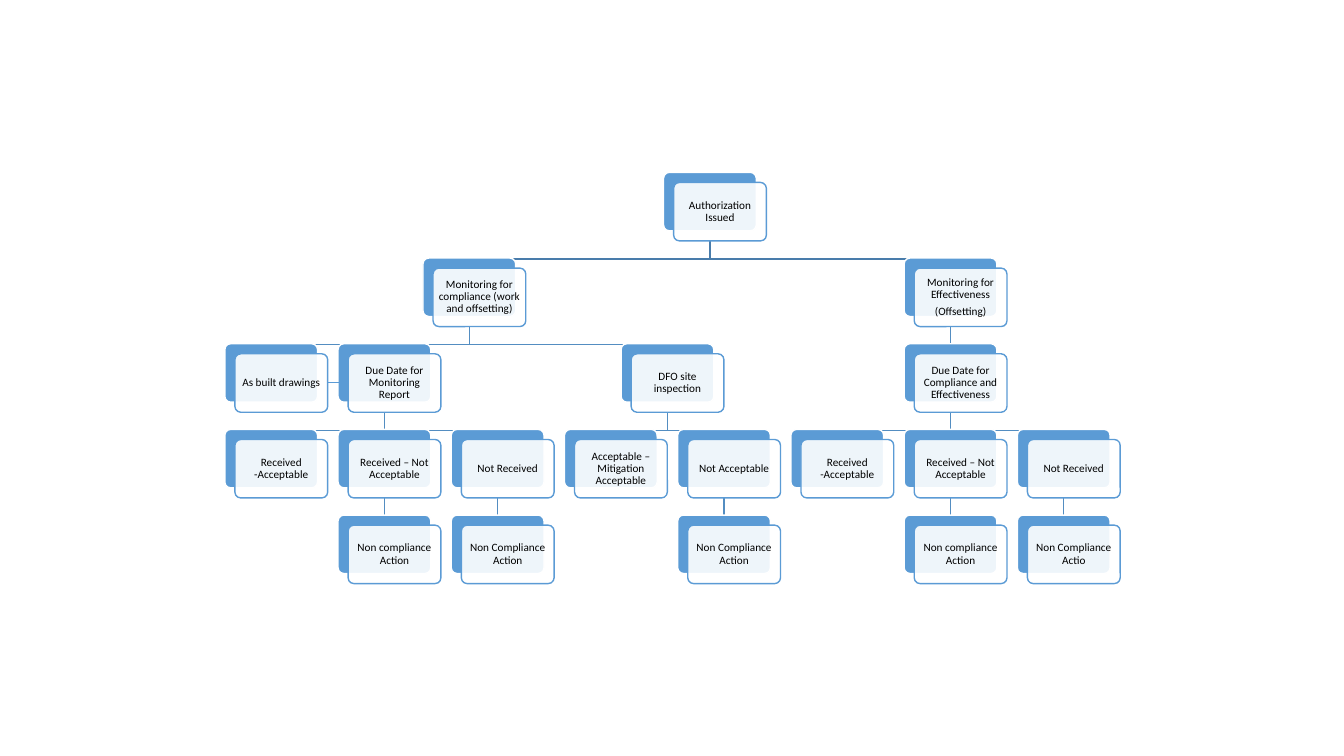
from dataclasses import dataclass, field

from lxml import etree
from pptx import Presentation
from pptx.dml.color import RGBColor
from pptx.enum.shapes import MSO_CONNECTOR, MSO_SHAPE
from pptx.enum.text import MSO_ANCHOR, PP_ALIGN
from pptx.oxml.ns import qn
from pptx.util import Inches, Pt

COLORS = {"box": "5B9BD5", "white": "FFFFFF", "text": "000000",
          "top_branch": "497CAB", "branch": "538DC1"}
FONT = "Calibri"
BOX_W, BOX_H = 0.92, 0.58
CARD_SHIFT = 0.1                      # white card sits right of and below its blue box
LEFT, TOP = 2.23, 1.71
COL_STEP = (10.09 - LEFT) / 7         # eight columns
ROW_STEP = 0.85
BUS_DROP = 0.18                       # from a card's lower edge to the crossbar


@dataclass
class Node:
    text: str
    children: list = field(default_factory=list)
    column: float = 0

    def __post_init__(self):
        # A parent stands midway between its outer children
        if self.children:
            self.column = (self.children[0].column + self.children[-1].column) / 2

    @property
    def left(self):
        return LEFT + self.column * COL_STEP

    @property
    def center(self):
        return self.left + CARD_SHIFT / 2 + BOX_W / 2 - CARD_SHIFT / 2


def leaf(column, text):
    return Node(text, column=column)


def report_outcomes(column, last_action):
    """The three possible results of a report that has a due date."""
    return [leaf(column, "Received -Acceptable"),
            Node("Received – Not Acceptable", [leaf(column + 1, "Non compliance Action")]),
            Node("Not Received", [leaf(column + 2, last_action)])]


def build_tree():
    inspection = Node("DFO site inspection", [
        leaf(3, "Acceptable – Mitigation Acceptable"),
        Node("Not Acceptable", [leaf(4, "Non Compliance Action")])])
    compliance = Node("Monitoring for compliance (work and offsetting)", [
        leaf(0, "As built drawings"),
        Node("Due Date for Monitoring Report", report_outcomes(0, "Non Compliance Action")),
        inspection])
    effectiveness = Node("Monitoring for Effectiveness\n(Offsetting)", [
        Node("Due Date for Compliance and Effectiveness",
             report_outcomes(5, "Non Compliance Actio"))])
    return Node("Authorization Issued", [compliance, effectiveness])


def rgb(name):
    return RGBColor.from_string(COLORS[name])


def row_top(row):
    return TOP + row * ROW_STEP


def add_line(slide, start, end, color, width):
    line = slide.shapes.add_connector(MSO_CONNECTOR.STRAIGHT,
                                      *(Inches(v) for v in (*start, *end)))
    line.line.color.rgb = rgb(color)
    line.line.width = Pt(width)
    etree.SubElement(line._element.spPr, qn("a:effectLst"))


def add_elbow(slide, points, color):
    corners = [(Inches(x), Inches(y)) for x, y in points]
    builder = slide.shapes.build_freeform(*corners[0])
    builder.add_line_segments(corners[1:], close=False)
    elbow = builder.convert_to_shape()
    elbow.shadow.inherit = False
    elbow.fill.background()
    elbow.line.color.rgb = rgb(color)
    elbow.line.width = Pt(1)


def add_branches(slide, node, row=0):
    color = "branch" if row else "top_branch"
    start_y = row_top(row) + CARD_SHIFT + BOX_H
    end_y = row_top(row + 1)
    for child in node.children:
        start, end = (node.center, start_y), (child.center, end_y)
        if child.column == node.column:
            add_line(slide, start, end, "branch", 1)
        else:
            bus_y = start_y + BUS_DROP
            add_elbow(slide, [start, (node.center, bus_y), (child.center, bus_y), end], color)
        add_branches(slide, child, row + 1)


def add_box(slide, left, top, fill, outline):
    box = slide.shapes.add_shape(MSO_SHAPE.ROUNDED_RECTANGLE, Inches(left), Inches(top),
                                 Inches(BOX_W), Inches(BOX_H))
    box.adjustments[0] = 0.1
    box.shadow.inherit = False
    box.fill.solid()
    box.fill.fore_color.rgb = rgb(fill)
    box.line.color.rgb = rgb(outline)
    box.line.width = Pt(1)
    return box


def set_text(shape, text):
    frame = shape.text_frame
    frame.word_wrap = True
    frame.vertical_anchor = MSO_ANCHOR.MIDDLE
    frame.margin_left = frame.margin_right = Inches(0.03)
    frame.margin_top = frame.margin_bottom = Inches(0.03)
    frame.text = text
    for paragraph in frame.paragraphs:
        paragraph.alignment = PP_ALIGN.CENTER
        paragraph.line_spacing = 0.9
        paragraph.space_after = Pt(3)
        paragraph.font.size = Pt(8)
        paragraph.font.name = FONT
        paragraph.font.color.rgb = rgb("text")


def add_nodes(slide, node, row=0):
    top = row_top(row)
    add_box(slide, node.left, top, "box", "white")
    card = add_box(slide, node.left + CARD_SHIFT, top + CARD_SHIFT, "white", "box")
    # Let the blue box show faintly through the card
    color = card.fill._xPr.find(qn("a:solidFill"))[0]
    etree.SubElement(color, qn("a:alpha"), val="90000")
    set_text(card, node.text)
    for child in node.children:
        add_nodes(slide, child, row + 1)


def main():
    prs = Presentation()
    prs.slide_width, prs.slide_height = Inches(13.33), Inches(7.5)
    slide = prs.slides.add_slide(prs.slide_layouts[6])

    # Branches lie behind the boxes
    tree = build_tree()
    add_branches(slide, tree)
    add_nodes(slide, tree)

    # Link between the drawings and the monitoring report
    add_line(slide, (3.25, 3.79), (3.46, 3.79), "box", 0.5)

    prs.save("out.pptx")


main()
